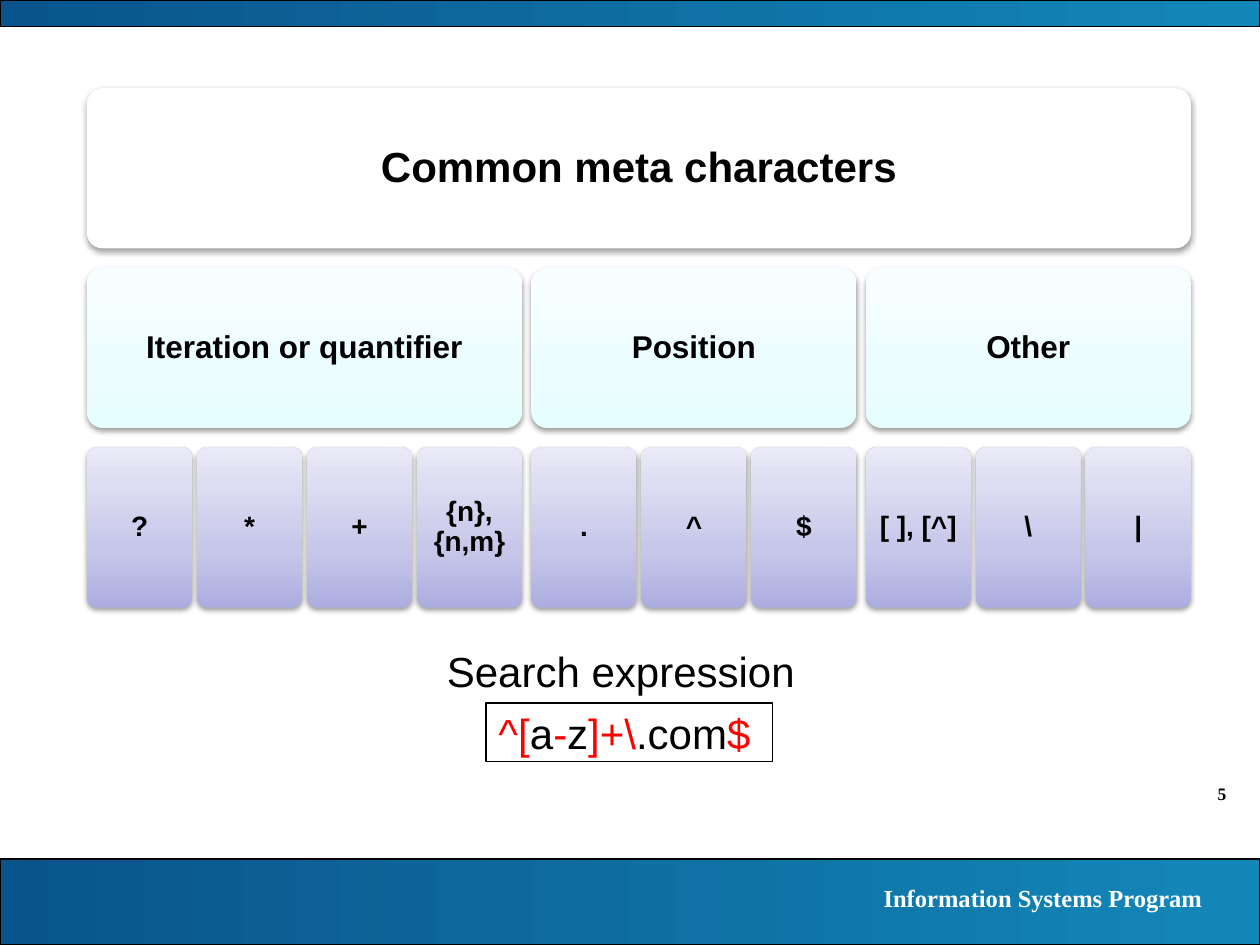
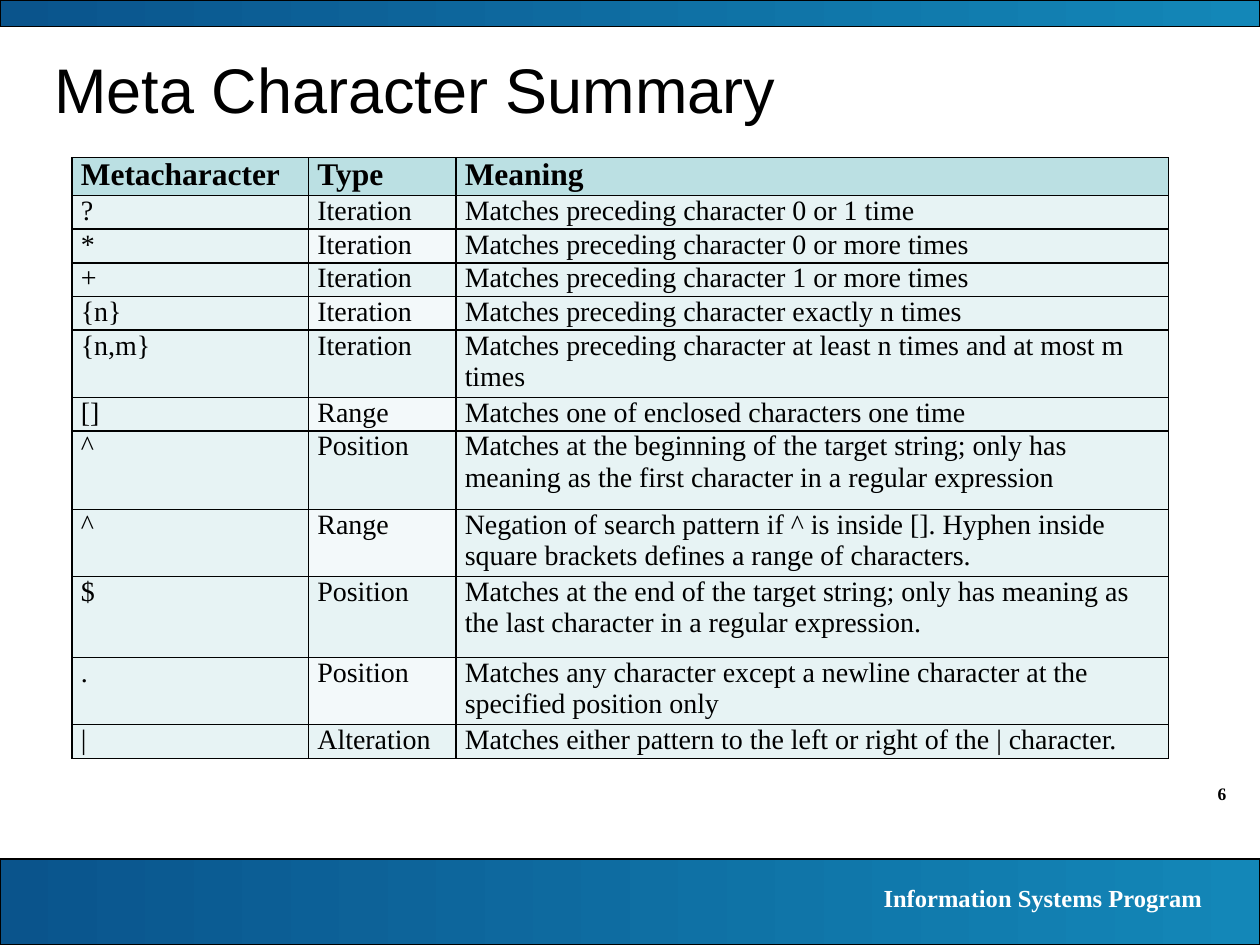
"""Build two slides on regular expression meta characters."""
from lxml import etree
from pptx import Presentation
from pptx.dml.color import RGBColor
from pptx.enum.shapes import MSO_SHAPE
from pptx.enum.text import MSO_ANCHOR, PP_ALIGN
from pptx.oxml.ns import qn
from pptx.util import Cm, Pt

RECTANGLE, ROUNDED = MSO_SHAPE.RECTANGLE, MSO_SHAPE.ROUNDED_RECTANGLE
TOP, MIDDLE = MSO_ANCHOR.TOP, MSO_ANCHOR.MIDDLE
LEFT, CENTER, RIGHT = PP_ALIGN.LEFT, PP_ALIGN.CENTER, PP_ALIGN.RIGHT
TITLE_ONLY, BLANK = 5, 6
SANS, SERIF = "Arial", "Times New Roman"

COLORS = {
    "text": "000000", "light": "FFFFFF", "operator": "FF0000",
    "header": "BBE0E3", "cell": "E7F3F4", "pale cell": "F3F9FA",
}
BAND_STOPS = [(0, "0A548C"), (100, "1387B8")]
GROUP_STOPS = [(0, "E6FDFF"), (35, "ECFDFF"), (100, "F8FEFF")]
SYMBOL_STOPS = [(0, "ADADE1"), (35, "C6C6E9"), (100, "E9E9F7")]

FOOTER = "Information Systems Program"
BANDS = [(17.32, 1.73), (0, 0.53)]

HIERARCHY_TITLE = "Common meta characters"
HIERARCHY = [
    ("Iteration or quantifier", ["?", "*", "+", "{n}, {n,m}"]),
    ("Position", [".", "^", "$"]),
    ("Other", ["[ ], [^]", "\\", "|"]),
]
HIERARCHY_LEFT, HIERARCHY_TOP, HIERARCHY_WIDTH = 1.75, 1.78, 22.26
LEVEL_HEIGHT, LEVEL_STEP = 3.23, 3.62
SYMBOL_GAP, GROUP_GAP = 0.09, 0.18

EXPRESSION_LABEL = "Search expression"
EXPRESSION = [
    ("^[", "operator"), ("a", "text"), ("-", "operator"), ("z", "text"),
    ("]+\\", "operator"), (".com", "text"), ("$", "operator"),
]

SUMMARY_TITLE = "Meta Character Summary"
SUMMARY_COLUMNS = [4.77, 2.97, 14.37]
SUMMARY_HEADER = ("Metacharacter", "Type", "Meaning")
SUMMARY_ROWS = [
    (0.66, "?", "Iteration", "Matches preceding character 0 or 1 time"),
    (0.66, "*", "Iteration", "Matches preceding character 0 or more times"),
    (0.66, "+", "Iteration", "Matches preceding character 1 or more times"),
    (0.66, "{n}", "Iteration", "Matches preceding character exactly n times"),
    (1.33, "{n,m}", "Iteration",
     "Matches preceding character at least n times and at most m times"),
    (0.66, "[]", "Range", "Matches one of enclosed characters one time"),
    (1.58, "^", "Position",
     "Matches at the beginning of the target string; only has meaning "
     "as the first character in a regular expression"),
    (1.25, "^", "Range",
     "Negation of search pattern if ^ is inside []. Hyphen inside "
     "square brackets defines a range of characters."),
    (1.63, "$", "Position",
     "Matches at the end of the target string; only has meaning "
     "as the last character in a regular expression."),
    (1.33, ".", "Position",
     "Matches any character except a newline character at the specified position only"),
    (0.66, "|", "Alteration",
     "Matches either pattern to the left or right of the | character."),
]


def rgb(name):
    return RGBColor.from_string(COLORS[name])


def style(paragraph, size, font=SANS, color="text", bold=False, align=LEFT):
    paragraph.alignment = align
    paragraph.font.size = Pt(size)
    paragraph.font.name = font
    paragraph.font.bold = bold
    paragraph.font.color.rgb = rgb(color)


def add_text(slide, text, left, top, width, height, size, **options):
    frame = slide.shapes.add_textbox(Cm(left), Cm(top), Cm(width), Cm(height)).text_frame
    frame.word_wrap = True
    frame.text = text
    style(frame.paragraphs[0], size, **options)


def add_box(slide, kind, left, top, width, height):
    shape = slide.shapes.add_shape(kind, Cm(left), Cm(top), Cm(width), Cm(height))
    shape.shadow.inherit = False
    return shape


def outline(shape):
    shape.line.color.rgb = rgb("text")
    shape.line.width = Pt(0.75)


def fill_gradient(shape, stops, angle):
    shape.fill.gradient()
    shape.fill.gradient_angle = angle
    stop_list = shape._element.spPr.find(qn("a:gradFill")).find(qn("a:gsLst"))
    for stop in list(stop_list):
        stop_list.remove(stop)
    for position, color in stops:
        stop = etree.SubElement(stop_list, qn("a:gs"), pos=str(position * 1000))
        etree.SubElement(stop, qn("a:srgbClr"), val=color)


def add_soft_shadow(shape):
    effects = shape._element.spPr.find(qn("a:effectLst"))
    shadow = etree.SubElement(effects, qn("a:outerShdw"), blurRad="40000",
                              dist="20000", dir="5400000", rotWithShape="0")
    color = etree.SubElement(shadow, qn("a:srgbClr"), val=COLORS["text"])
    etree.SubElement(color, qn("a:alpha"), val="38000")


def add_slide(presentation, layout, number):
    slide = presentation.slides.add_slide(presentation.slide_layouts[layout])
    add_text(slide, str(number), 22.86, 15.67, 2.11, 0.69, 10,
             font=SERIF, bold=True, align=RIGHT)
    for top, height in BANDS:
        band = add_box(slide, RECTANGLE, 0, top, 25.4, height)
        fill_gradient(band, BAND_STOPS, 0)
        outline(band)
    add_text(slide, FOOTER, 14.1, 17.68, 10.39, 0.86, 14,
             font=SERIF, color="light", bold=True, align=RIGHT)
    return slide


def add_node(slide, text, left, level, width, size, stops=None):
    node = add_box(slide, ROUNDED, left, HIERARCHY_TOP + level * LEVEL_STEP,
                   width, LEVEL_HEIGHT)
    node.adjustments[0] = 0.1
    node.line.fill.background()
    add_soft_shadow(node)
    if stops:
        fill_gradient(node, stops, 90)
    else:
        node.fill.solid()
        node.fill.fore_color.rgb = rgb("light")
    frame = node.text_frame
    frame.word_wrap = True
    frame.vertical_anchor = MIDDLE
    frame.margin_left = frame.margin_right = Cm(0.18)
    frame.text = text
    paragraph = frame.paragraphs[0]
    style(paragraph, size, bold=True, align=CENTER)
    paragraph.line_spacing = 0.9


def add_hierarchy(slide):
    add_node(slide, HIERARCHY_TITLE, HIERARCHY_LEFT, 0, HIERARCHY_WIDTH, 24)
    count = sum(len(symbols) for _, symbols in HIERARCHY)
    gaps = (count - len(HIERARCHY)) * SYMBOL_GAP + (len(HIERARCHY) - 1) * GROUP_GAP
    symbol_width = (HIERARCHY_WIDTH - gaps) / count
    step = symbol_width + SYMBOL_GAP
    left = HIERARCHY_LEFT
    for group, symbols in HIERARCHY:
        group_width = len(symbols) * step - SYMBOL_GAP
        add_node(slide, group, left, 1, group_width, 18, GROUP_STOPS)
        for index, symbol in enumerate(symbols):
            add_node(slide, symbol, left + index * step, 2, symbol_width, 16, SYMBOL_STOPS)
        left += group_width + GROUP_GAP


def add_expression(slide):
    add_text(slide, EXPRESSION_LABEL, 8.76, 12.88, 7.54, 1.27, 24)
    box = add_box(slide, RECTANGLE, 9.8, 14.17, 5.77, 1.19)
    box.fill.background()
    outline(box)
    box.text_frame.vertical_anchor = MIDDLE
    paragraph = box.text_frame.paragraphs[0]
    style(paragraph, 24)
    for text, color in EXPRESSION:
        run = paragraph.add_run()
        run.text = text
        run.font.color.rgb = rgb(color)


def add_title(slide, text):
    title = slide.shapes.title
    title.left, title.top, title.width, title.height = Cm(0.84), Cm(0.84), Cm(23.29), Cm(1.9)
    title.text_frame.text = text
    title.text_frame.vertical_anchor = MIDDLE
    style(title.text_frame.paragraphs[0], 36)


def set_borders(cell):
    properties = cell._tc.get_or_add_tcPr()
    for index, side in enumerate(("a:lnL", "a:lnR", "a:lnT", "a:lnB")):
        line = etree.Element(qn(side), w=str(Pt(1)))
        fill = etree.SubElement(line, qn("a:solidFill"))
        etree.SubElement(fill, qn("a:srgbClr"), val=COLORS["text"])
        properties.insert(index, line)


def fill_cell(cell, text, color, size, bold):
    cell.text = text
    cell.margin_left = cell.margin_right = Cm(0.18)
    cell.margin_top = cell.margin_bottom = 0
    cell.vertical_anchor = TOP
    cell.fill.solid()
    cell.fill.fore_color.rgb = rgb(color)
    style(cell.text_frame.paragraphs[0], size, font=SERIF, bold=bold)
    set_borders(cell)


def add_summary(slide):
    rows = [(0.71, *SUMMARY_HEADER), *SUMMARY_ROWS]
    frame = slide.shapes.add_table(
        len(rows), len(SUMMARY_COLUMNS), Cm(1.45), Cm(3.18),
        Cm(sum(SUMMARY_COLUMNS)), Cm(sum(row[0] for row in rows)))
    table = frame.table
    table.horz_banding = False
    for column, width in zip(table.columns, SUMMARY_COLUMNS):
        column.width = Cm(width)
    for row_index, (height, *texts) in enumerate(rows):
        table.rows[row_index].height = Cm(height)
        is_header = row_index == 0
        for column_index, text in enumerate(texts):
            is_pale = column_index == 1 and row_index % 2 == 0
            color = "header" if is_header else "pale cell" if is_pale else "cell"
            fill_cell(table.cell(row_index, column_index), text, color,
                      18 if is_header else 16, is_header)


def main():
    presentation = Presentation()
    presentation.slide_width, presentation.slide_height = Cm(25.4), Cm(19.05)

    slide = add_slide(presentation, BLANK, 5)
    add_hierarchy(slide)
    add_expression(slide)

    slide = add_slide(presentation, TITLE_ONLY, 6)
    add_title(slide, SUMMARY_TITLE)
    add_summary(slide)

    presentation.save("out.pptx")


if __name__ == "__main__":
    main()
